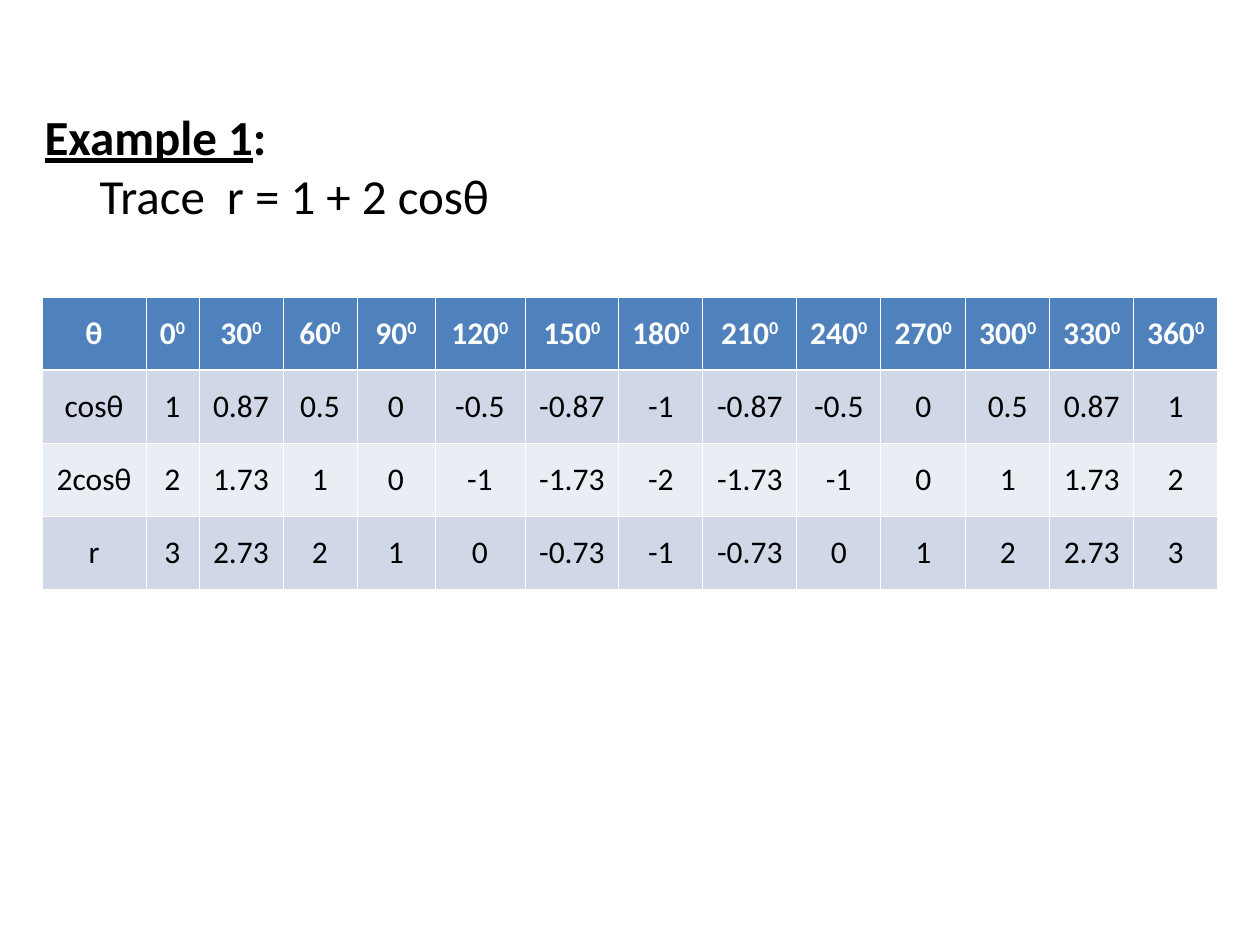
from math import cos, radians

from lxml.etree import SubElement
from pptx import Presentation
from pptx.dml.color import RGBColor
from pptx.enum.text import MSO_ANCHOR, MSO_AUTO_SIZE, PP_ALIGN
from pptx.oxml.ns import qn
from pptx.util import Pt

EMU_PER_PX = 914400 / 126
FONT = "Calibri"
COLORS = {
    "text": "000000",
    "white": "FFFFFF",
    "header": "4F81BD",
    "band_dark": "D0D8E8",
    "band_light": "E9EDF4",
}
ANGLES = range(0, 361, 30)
ANGLE_WIDTHS = [53, 84, 74, 78, 90, 94, 84, 94, 84, 85, 84, 84, 84]
COLUMN_WIDTHS = [104] + ANGLE_WIDTHS
THIN, THICK = 0.45, 1.47


def px(length):
    return round(length * EMU_PER_PX)


def add_text(paragraph, text, size=18, color="text", bold=False,
             underline=False, baseline=None, spacing=None):
    """Add a formatted run; baseline is in percent, spacing in points."""
    run = paragraph.add_run()
    run.text = text
    font = run.font
    font.name, font.size = FONT, Pt(size)
    font.bold, font.underline = bold, underline
    font.color.rgb = RGBColor.from_string(COLORS[color])
    properties = run._r.get_or_add_rPr()
    if baseline is not None:
        properties.set("baseline", str(baseline * 1000))
    if spacing is not None:
        properties.set("spc", str(round(spacing * 100)))


def add_heading(slide, left, top, width, height):
    title = slide.shapes.title
    title.left, title.top = px(left), px(top)
    title.width, title.height = px(width), px(height)
    frame = title.text_frame
    frame.word_wrap = True
    frame.auto_size = MSO_AUTO_SIZE.NONE
    frame.vertical_anchor = MSO_ANCHOR.TOP
    label, task = frame.paragraphs[0], frame.add_paragraph()
    for paragraph in (label, task):
        paragraph.alignment = PP_ALIGN.LEFT
        paragraph.space_before = Pt(0)
    add_text(label, "Example 1", size=28, bold=True, underline=True)
    add_text(label, ":", size=28, bold=True)
    task._p.get_or_add_pPr().set("marL", str(px(55)))
    add_text(task, "Trace", size=28)
    add_text(task, " ", size=28, spacing=6.3)
    add_text(task, "r = 1 + 2 cosθ", size=28)


def set_borders(cell, top=THIN, bottom=THIN):
    properties = cell._tc.get_or_add_tcPr()
    for side, width in (("L", THIN), ("R", THIN), ("T", top), ("B", bottom)):
        line = SubElement(properties, qn(f"a:ln{side}"), w=str(Pt(width)))
        fill = SubElement(line, qn("a:solidFill"))
        SubElement(fill, qn("a:srgbClr"), val=COLORS["white"])


def curve_rows():
    """Return the label and the values of each row below the header."""
    cosines = [cos(radians(angle)) for angle in ANGLES]
    rows = {
        "cosθ": cosines,
        "2cosθ": [2 * value for value in cosines],
        "r": [1 + 2 * value for value in cosines],
    }
    return [[label] + [f"{round(value, 2) + 0:g}" for value in values]
            for label, values in rows.items()]


def add_value_table(slide, left, top, row_height):
    rows = [["θ"] + [str(angle) for angle in ANGLES]] + curve_rows()
    frame = slide.shapes.add_table(
        len(rows), len(COLUMN_WIDTHS), px(left), px(top),
        px(sum(COLUMN_WIDTHS)), px(row_height * len(rows)))
    table = frame.table
    for column, width in zip(table.columns, COLUMN_WIDTHS):
        column.width = px(width)
    for row_index, texts in enumerate(rows):
        table.rows[row_index].height = px(row_height)
        is_header = row_index == 0
        band = "band_dark" if row_index % 2 else "band_light"
        for column_index, text in enumerate(texts):
            cell = table.cell(row_index, column_index)
            set_borders(cell, top=THICK if row_index == 1 else THIN,
                        bottom=THICK if is_header else THIN)
            cell.fill.solid()
            cell.fill.fore_color.rgb = RGBColor.from_string(
                COLORS["header" if is_header else band])
            cell.vertical_anchor = MSO_ANCHOR.MIDDLE
            paragraph = cell.text_frame.paragraphs[0]
            paragraph.alignment = PP_ALIGN.CENTER
            color = "white" if is_header else "text"
            add_text(paragraph, text, color=color, bold=is_header)
            if is_header and column_index > 0:
                add_text(paragraph, "0", color=color, bold=True, baseline=30)


def main():
    presentation = Presentation()
    presentation.slide_width, presentation.slide_height = px(1260), px(945)
    slide = presentation.slides.add_slide(presentation.slide_layouts[5])
    add_value_table(slide, left=42, top=297, row_height=73)
    add_heading(slide, left=32, top=100, width=577, height=131)
    presentation.save("out.pptx")


if __name__ == "__main__":
    main()
